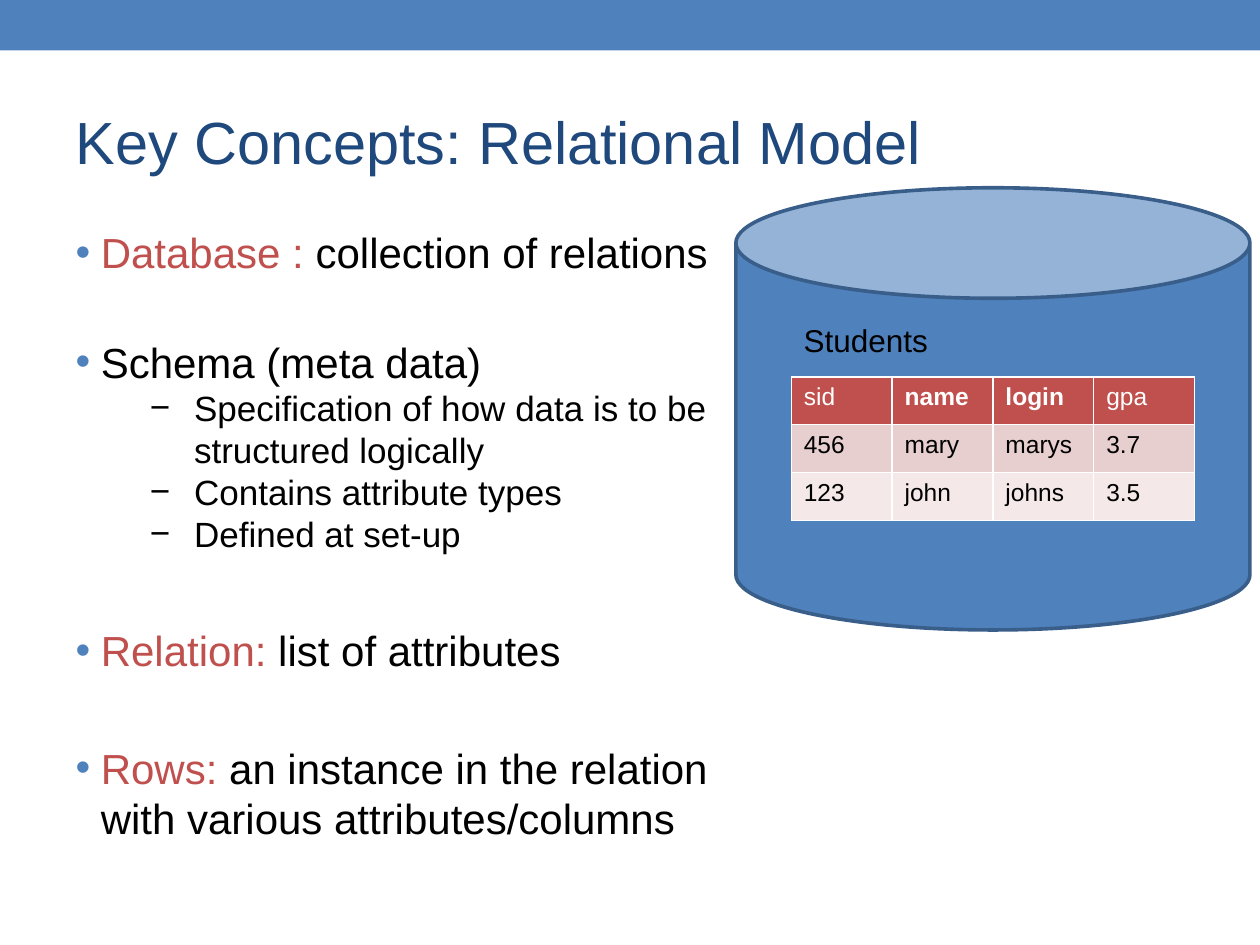
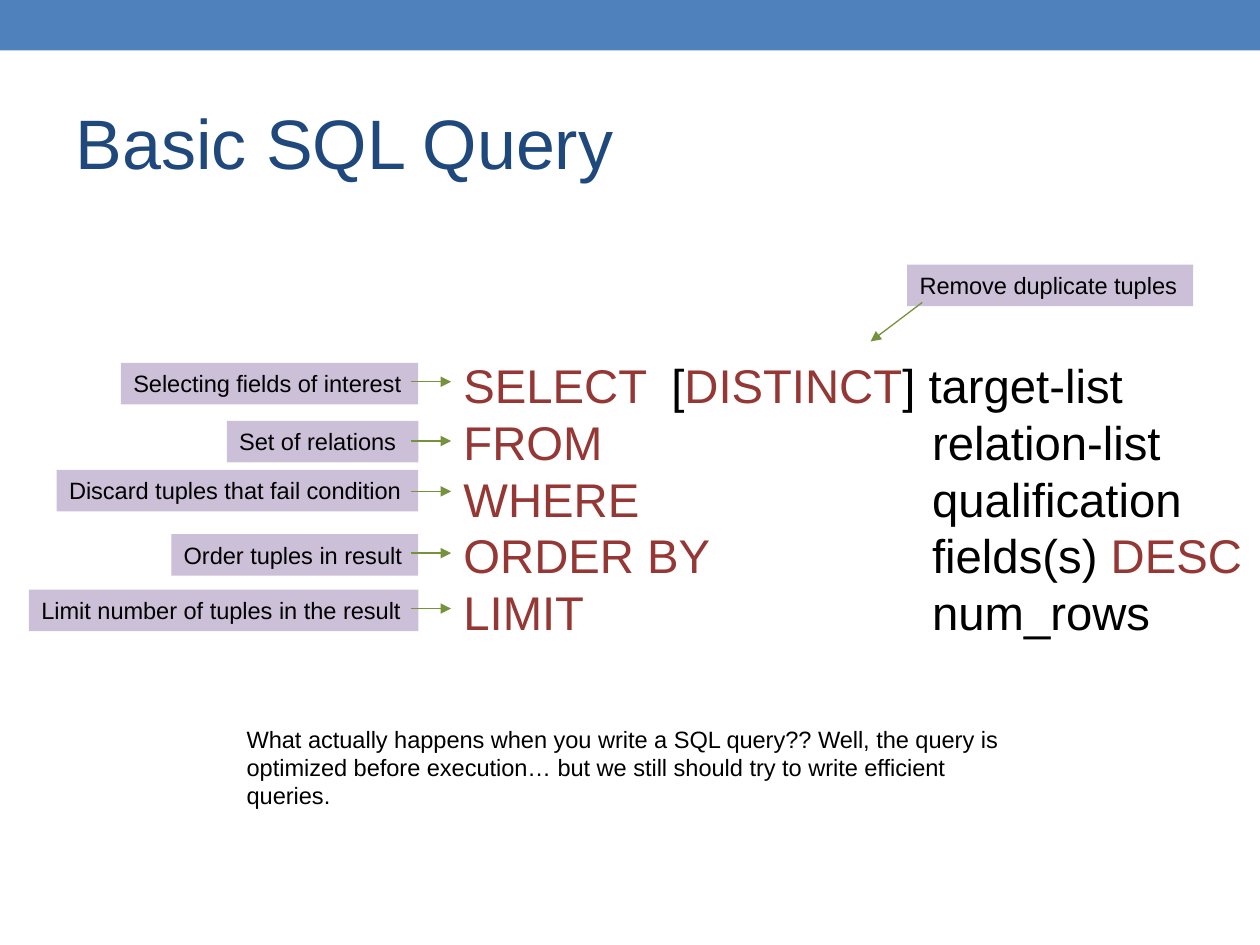
from lxml.etree import SubElement
from pptx import Presentation
from pptx.dml.color import RGBColor
from pptx.enum.shapes import MSO_CONNECTOR as CONNECTOR, MSO_SHAPE as SHAPE
from pptx.enum.text import MSO_ANCHOR as ANCHOR, MSO_AUTO_SIZE as AUTO_SIZE, PP_ALIGN as ALIGN
from pptx.oxml.ns import qn
from pptx.util import Inches, Pt

FONT = "Arial"
COLORS = {
    "blue": "4F81BD", "blue edge": "395E89", "navy": "1F497D",
    "red": "C0504D", "dark red": "953734", "rose": "E8CFCF", "pale rose": "F4E8E8",
    "lilac": "CCC0D9", "green": "76923C", "black": "000000", "white": "FFFFFF",
}
PALETTE = {name: RGBColor.from_string(value) for name, value in COLORS.items()}

presentation = Presentation()
presentation.slide_width, presentation.slide_height = Inches(10), Inches(7.5)
CELL = presentation.slide_width / 100  # the slide is a grid of 100 columns by 75 rows


def grid(*cells):
    """Turn counts of grid columns and rows into lengths."""
    return [round(cell * CELL) for cell in cells]


def add_runs(paragraph, size, *runs):
    """Add (text, colour) runs, left-aligned and in the common font."""
    paragraph.alignment = ALIGN.LEFT
    for text, color in runs:
        run = paragraph.add_run()
        run.text = text
        run.font.name, run.font.size = FONT, Pt(size)
        run.font.color.rgb = PALETTE[color]


# Slides with their shared titles and the band on the master
concepts = presentation.slides.add_slide(presentation.slide_layouts.get_by_name("Title and Content"))
query = presentation.slides.add_slide(presentation.slide_layouts.get_by_name("Title Only"))

band = concepts.shapes.add_shape(SHAPE.RECTANGLE, *grid(0, 0, 100, 4))
band.shadow.inherit = False
band.fill.solid()
band.fill.fore_color.rgb = PALETTE["blue"]
band.line.fill.background()
presentation.slide_master.element.cSld.spTree.insert(2, band.element)

for slide, heading, size in [
    (concepts, "Key Concepts: Relational Model", 34),
    (query, "Basic SQL Query", 40),
]:
    title = slide.shapes.title
    title.left, title.top, title.width, title.height = grid(5, 5.8, 90, 10.8)
    title.text_frame.auto_size = AUTO_SIZE.NONE
    title.text_frame.vertical_anchor = ANCHOR.MIDDLE
    add_runs(title.text_frame.paragraphs[0], size, (heading, "navy"))

# Key concepts: list of (level, space before, runs)
concept_list = [
    (0, 0, [("Database : ", "red"), ("collection of relations", "black")]),
    (0, 33.6, [("Schema (meta data)", "black")]),
    (1, 0, [("Specification of how data is to be structured logically", "black")]),
    (1, 0, [("Contains attribute types", "black")]),
    (1, 0, [("Defined at set-up", "black")]),
    (0, 40, [("Relation: ", "red"), ("list of attributes", "black")]),
    (0, 38.4, [("Rows: ", "red"),
               ("an instance in the relation with various attributes/columns", "black")]),
]
# Size, bullet, bullet colour, left margin and hanging indent of each level
levels = [(24, "•", "blue", 2, 2), (20, "−", "black", 9.4, 3.5)]

body = concepts.placeholders[1]
body.left, body.top, body.width, body.height = grid(5, 17.5, 55, 53.3)
body.text_frame.auto_size = AUTO_SIZE.NONE
for index, (level, space, runs) in enumerate(concept_list):
    paragraph = body.text_frame.add_paragraph() if index else body.text_frame.paragraphs[0]
    size, bullet, bullet_color, margin, hanging = levels[level]
    paragraph.level = level
    paragraph.space_before = Pt(space)
    add_runs(paragraph, size, *runs)
    properties = paragraph._p.get_or_add_pPr()
    margin, indent = grid(margin, -hanging)
    properties.set("marL", str(margin))
    properties.set("indent", str(indent))
    SubElement(SubElement(properties, qn("a:buClr")), qn("a:srgbClr"), val=COLORS[bullet_color])
    SubElement(properties, qn("a:buFont"), typeface=FONT)
    SubElement(properties, qn("a:buChar"), char=bullet)

# Database cylinder with the Students relation
database = concepts.shapes.add_shape(SHAPE.CAN, *grid(58.4, 14.9, 40.8, 35.1))
database.shadow.inherit = False
database.fill.solid()
database.fill.fore_color.rgb = PALETTE["blue"]
database.line.color.rgb = PALETTE["blue edge"]
database.line.width = Pt(2.08)

students = [
    ["sid", "name", "login", "gpa"],
    ["456", "mary", "marys", "3.7"],
    ["123", "john", "johns", "3.5"],
]
row_styles = [("red", "white"), ("rose", "black"), ("pale rose", "black")]
table = concepts.shapes.add_table(3, 4, *grid(62.8, 29.9, 32, 11.4)).table
for row, (values, (fill, color)) in enumerate(zip(students, row_styles)):
    for column, value in enumerate(values):
        cell = table.cell(row, column)
        paragraph = cell.text_frame.paragraphs[0]
        add_runs(paragraph, 14, (value, color))
        paragraph.runs[0].font.bold = value in ("name", "login")
        properties = cell._tc.get_or_add_tcPr()
        for side in ("a:lnL", "a:lnR", "a:lnT", "a:lnB"):
            border = SubElement(properties, qn(side), w=str(Pt(0.96)))
            SubElement(SubElement(border, qn("a:solidFill")), qn("a:srgbClr"), val=COLORS["white"])
        cell.fill.solid()
        cell.fill.fore_color.rgb = PALETTE[fill]

caption = concepts.shapes.add_textbox(*grid(62.8, 25, 12, 4))
caption.text_frame.word_wrap = True
add_runs(caption.text_frame.paragraphs[0], 18, ("Students", "black"))

# SQL clauses: tab stop and runs of each line
OPTION_TAB, ARGUMENT_TAB = grid(16.5, 37.2)
clauses = [
    (OPTION_TAB, [("SELECT\t", "dark red"), ("[", "black"),
                  ("DISTINCT", "dark red"), ("] target-list", "black")]),
    (ARGUMENT_TAB, [("FROM\t", "dark red"), ("relation-list", "black")]),
    (ARGUMENT_TAB, [("WHERE\t", "dark red"), ("qualification", "black")]),
    (ARGUMENT_TAB, [("ORDER BY\t", "dark red"), ("fields(s) ", "black"), ("DESC", "dark red")]),
    (ARGUMENT_TAB, [("LIMIT\t", "dark red"), ("num_rows", "black")]),
]
statement = query.shapes.add_textbox(*grid(35.8, 27.8, 64, 23.7))
statement.text_frame.word_wrap = True
for index, (tab, runs) in enumerate(clauses):
    paragraph = statement.text_frame.add_paragraph() if index else statement.text_frame.paragraphs[0]
    add_runs(paragraph, 27, *runs)
    tabs = SubElement(paragraph._p.get_or_add_pPr(), qn("a:tabLst"))
    SubElement(tabs, qn("a:tab"), pos=str(tab), algn="l")

# Clause notes: text, left, top, width, and arrow from and to
ARROW_START, ARROW_END = 32.6, 35.8
notes = [("Remove duplicate tuples", 72, 21, 22.7, (73.2, 24, 69.1, 27.1))]
LABEL_RIGHT = 33.2
for text, top, width, arrow_row in [
    ("Selecting fields of interest", 28.8, 23.6, 30.3),
    ("Set of relations", 33.4, 15.2, 35),
    ("Discard tuples that fail condition", 37.3, 28.7, 39),
    ("Order tuples in result", 42.4, 19.6, 43.9),
    ("Limit number of tuples in the result", 46.8, 30.9, 48.3),
]:
    notes.append((text, LABEL_RIGHT - width, top, width,
                  (ARROW_START, arrow_row, ARROW_END, arrow_row)))

for text, left, top, width, ends in notes:
    label = query.shapes.add_shape(SHAPE.RECTANGLE, *grid(left, top, width, 3.3))
    label.shadow.inherit = False
    label.fill.solid()
    label.fill.fore_color.rgb = PALETTE["lilac"]
    label.line.fill.background()
    label.text_frame.word_wrap = True
    label.text_frame.vertical_anchor = ANCHOR.TOP
    add_runs(label.text_frame.paragraphs[0], 13.5, (text, "black"))

    arrow = query.shapes.add_connector(CONNECTOR.STRAIGHT, *grid(*ends))
    arrow.line.color.rgb = PALETTE["green"]
    arrow.line.width = Pt(0.75)
    SubElement(arrow.line._get_or_add_ln(), qn("a:tailEnd"), type="triangle")
    SubElement(arrow._element.spPr, qn("a:effectLst"))

remark = query.shapes.add_textbox(*grid(18.6, 57, 62.6, 7.8))
remark.text_frame.word_wrap = True
add_runs(remark.text_frame.paragraphs[0], 13.5, (
    "What actually happens when you write a SQL query?? Well, the query is optimized before "
    "execution… but we still should try to write efficient queries.", "black"))

presentation.save("out.pptx")
